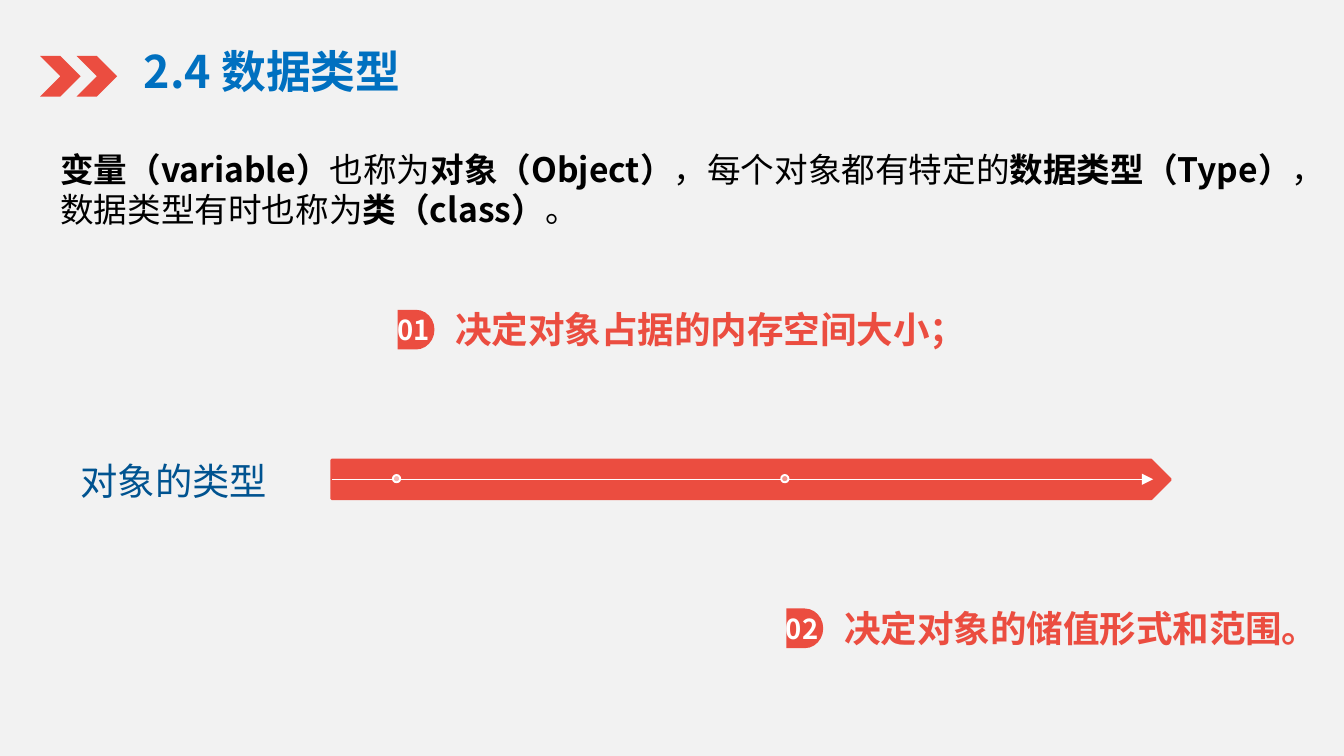
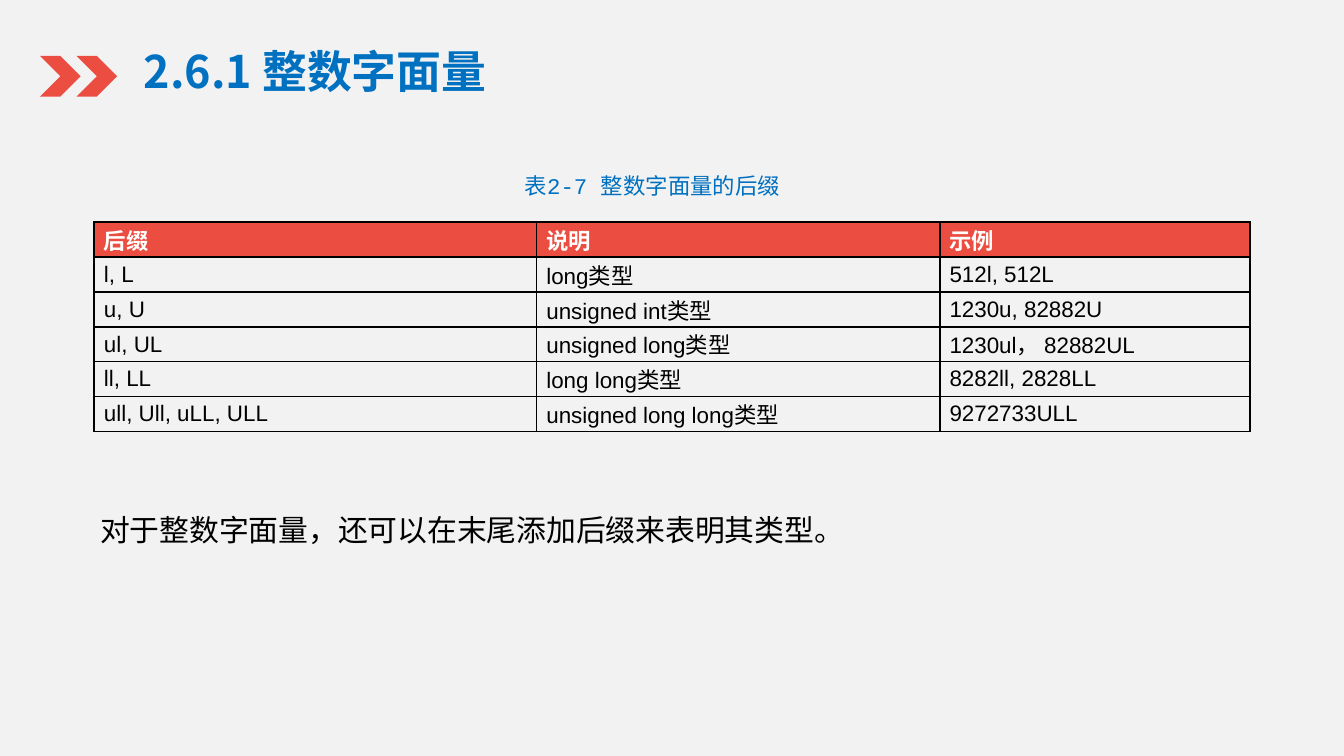
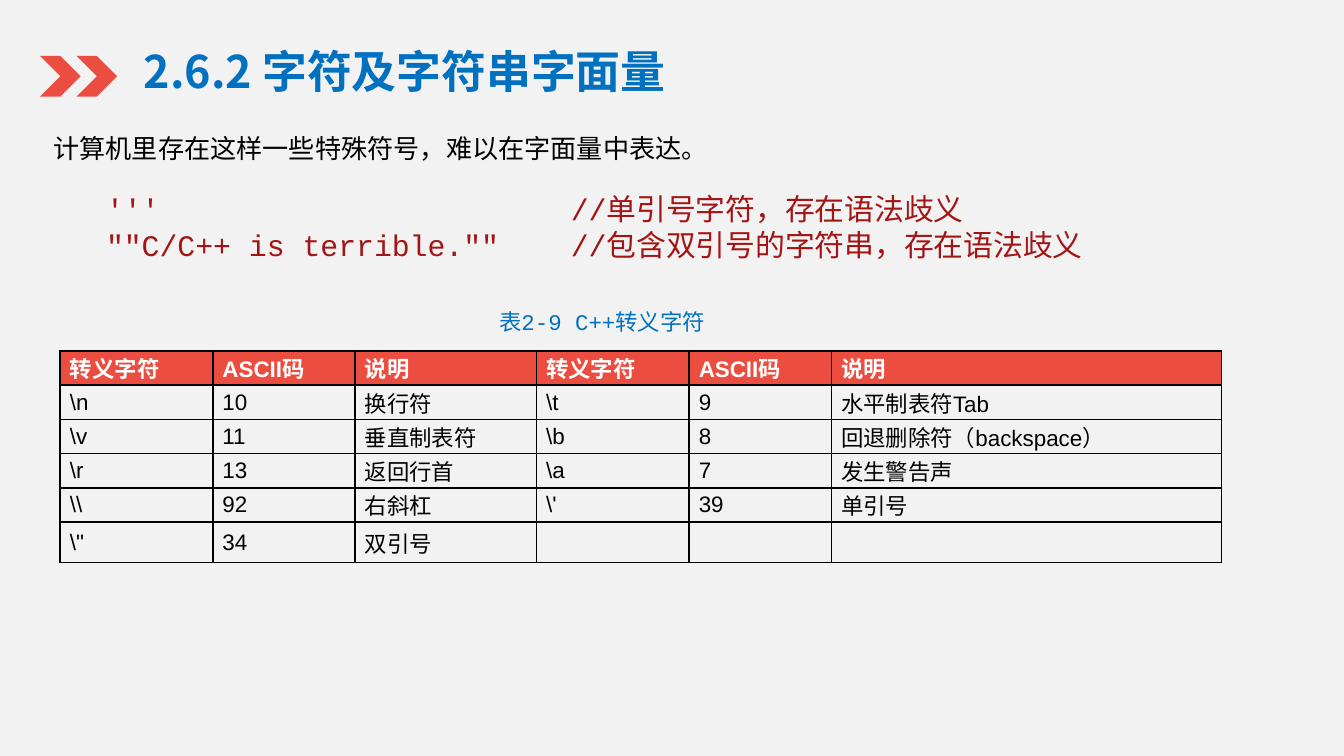
from lxml import etree
from pptx import Presentation
from pptx.dml.color import RGBColor
from pptx.enum.shapes import MSO_CONNECTOR, MSO_SHAPE
from pptx.enum.text import MSO_ANCHOR, MSO_AUTO_SIZE, PP_ALIGN
from pptx.oxml import parse_xml
from pptx.oxml.ns import nsdecls, qn
from pptx.util import Pt

CHEVRON = MSO_SHAPE.CHEVRON
DELAY = MSO_SHAPE.FLOWCHART_DELAY
ARROW_BAR = MSO_SHAPE.PENTAGON
OVAL = MSO_SHAPE.OVAL
STRAIGHT = MSO_CONNECTOR.STRAIGHT
MIDDLE = MSO_ANCHOR.MIDDLE
TOP = MSO_ANCHOR.TOP
GROW = MSO_AUTO_SIZE.SHAPE_TO_FIT_TEXT
FIXED = MSO_AUTO_SIZE.NONE
LEFT = PP_ALIGN.LEFT
CENTER = PP_ALIGN.CENTER

BACKGROUND = "F2F2F2"
RED = "EB4D40"
BLUE = "0070C0"
LABEL_BLUE = "005390"
CODE_RED = "A31515"
WHITE = "FFFFFF"
BLACK = "000000"
SANS = "Noto Sans CJK JP"
HAN = "Noto Sans CJK SC"
ARIAL = "Arial"
MONO = "Courier New"


def color(value):
    return RGBColor.from_string(value)


def add_text(paragraph, text, font=SANS, size=12, fill=BLACK, bold=False):
    run = paragraph.add_run()
    run.text = text
    run.font.name = font
    run.font.size = Pt(size)
    run.font.bold = bold
    run.font.color.rgb = color(fill)
    east_asian = etree.SubElement(run.font._element, qn("a:ea"))
    east_asian.set("typeface", SANS if font == SANS else HAN)


class Deck:
    def __init__(self):
        self.presentation = Presentation()
        self.presentation.slide_width = Pt(720)
        self.presentation.slide_height = Pt(405)
        self.slide = None

    def add_slide(self, title):
        layout = self.presentation.slide_layouts[6]
        self.slide = self.presentation.slides.add_slide(layout)
        background = self.slide.background.fill
        background.solid()
        background.fore_color.rgb = color(BACKGROUND)
        self.text_box(70, 20, 340, 36, [[(title, {})]], size=24, fill=BLUE, bold=True)
        for left in (21.5, 41):
            self.shape(CHEVRON, left, 30, 21.75, 21.75)

    def text_box(self, left, top, width, height, paragraphs, align=LEFT,
                 plain=False, tab=None, **style):
        box = self.slide.shapes.add_textbox(Pt(left), Pt(top), Pt(width), Pt(height))
        frame = box.text_frame
        frame.word_wrap = True
        frame.auto_size = FIXED if plain else GROW
        frame.vertical_anchor = MIDDLE if plain else TOP
        if plain:
            self.clear_margins(frame)
        for index, runs in enumerate(paragraphs):
            paragraph = frame.add_paragraph() if index else frame.paragraphs[0]
            paragraph.alignment = align
            if tab:
                tabs = etree.SubElement(paragraph._p.get_or_add_pPr(), qn("a:tabLst"))
                etree.SubElement(tabs, qn("a:tab"), pos=str(Pt(tab)), algn="l")
            for text, changes in runs:
                add_text(paragraph, text, **{**style, **changes})

    def clear_margins(self, frame):
        frame.margin_left = frame.margin_right = 0
        frame.margin_top = frame.margin_bottom = 0

    def shape(self, kind, left, top, width, height, fill=RED, line=None, weight=1):
        shape = self.slide.shapes.add_shape(kind, Pt(left), Pt(top), Pt(width), Pt(height))
        shape.shadow.inherit = False
        shape.fill.solid()
        shape.fill.fore_color.rgb = color(fill)
        if line:
            shape.line.color.rgb = color(line)
            shape.line.width = Pt(weight)
        else:
            shape.line.fill.background()
        return shape

    def arrow(self, left, right, y):
        connector = self.slide.shapes.add_connector(STRAIGHT, Pt(left), Pt(y), Pt(right), Pt(y))
        connector.line.color.rgb = color(WHITE)
        connector.line.width = Pt(0.5)
        etree.SubElement(connector.line._ln, qn("a:tailEnd"), type="triangle")
        etree.SubElement(connector._element.spPr, qn("a:effectLst"))

    def numbered_point(self, number, text, left, top, width):
        badge = self.shape(DELAY, left, top, 19.75, 21.25)
        frame = badge.text_frame
        frame.word_wrap = False
        frame.vertical_anchor = MIDDLE
        self.clear_margins(frame)
        frame.paragraphs[0].alignment = CENTER
        add_text(frame.paragraphs[0], number, font=HAN, size=14.7, fill=WHITE, bold=True)
        self.text_box(left + 31, top + 2.25, width, 16, [[(text, {})]], plain=True,
                      font=HAN, size=19.6, fill=RED, bold=True)

    def caption(self, left, top, number, text):
        runs = [("表", {}), (number, {"font": MONO}), (text, {})]
        self.text_box(left, top, 400, 21.75, [runs], align=CENTER, font=ARIAL, fill=BLUE)

    def table(self, left, top, widths, row_height, rows):
        graphic = self.slide.shapes.add_table(
            len(rows), len(widths), Pt(left), Pt(top), Pt(sum(widths)),
            Pt(row_height * len(rows)))
        table = graphic.table
        for column, width in zip(table.columns, widths):
            column.width = Pt(width)
        for row_index, values in enumerate(rows):
            table.rows[row_index].height = Pt(row_height)
            for column_index, value in enumerate(values):
                self.cell(table.cell(row_index, column_index), value, row_index == 0)

    def cell(self, cell, value, header):
        cell.vertical_anchor = MIDDLE
        cell.margin_left = cell.margin_right = Pt(5.2)
        cell.margin_top = cell.margin_bottom = 0
        if header:
            cell.fill.solid()
            cell.fill.fore_color.rgb = color(RED)
        else:
            cell.fill.background()
        add_text(cell.text_frame.paragraphs[0], value, font=ARIAL,
                 fill=WHITE if header else BLACK, bold=header)
        properties = cell._tc.get_or_add_tcPr()
        for index, side in enumerate(("lnL", "lnR", "lnT", "lnB")):
            border = parse_xml(
                f'<a:{side} {nsdecls("a")} w="{Pt(1)}"><a:solidFill>'
                f'<a:srgbClr val="{BLACK}"/></a:solidFill></a:{side}>')
            properties.insert(index, border)


def add_data_types(deck):
    deck.add_slide("2.4 数据类型")
    strong = {"bold": True}
    definition = [
        ("变量（variable）", strong), ("也称为", {}),
        ("对象（Object）", strong), ("，每个对象都有特定的", {}),
        ("数据类型（Type）", strong), ("，数据类型有时也称为", {}),
        ("类（class）", strong), ("。", {}),
    ]
    deck.text_box(25.25, 76.25, 694.75, 51, [definition], size=18)
    deck.shape(ARROW_BAR, 177.75, 246.5, 449.25, 20.75, line=RED, weight=1.5)
    deck.arrow(177.75, 617.75, 256.75)
    for left, fill in ((210.5, "F7B8B3"), (418.5, "F3948C")):
        deck.shape(OVAL, left, 254.5, 3.9, 3.9, fill=fill, line=WHITE)
    deck.numbered_point("01", "决定对象占据的内存空间大小；", 213, 166, 281.5)
    deck.numbered_point("02", "决定对象的储值形式和范围。", 421.25, 326, 247)
    deck.text_box(36, 242, 124.5, 31.5, [[("对象的类型", {})]], size=20, fill=LABEL_BLUE)


def add_integer_literals(deck):
    deck.add_slide("2.6.1 整数字面量")
    deck.table(50.5, 119, (237, 216, 166), 18.7, [
        ("后缀", "说明", "示例"),
        ("l, L", "long类型", "512l, 512L"),
        ("u, U", "unsigned int类型", "1230u, 82882U"),
        ("ul, UL", "unsigned long类型", "1230ul， 82882UL"),
        ("ll, LL", "long long类型", "8282ll, 2828LL"),
        ("ull, Ull, uLL, ULL", "unsigned long long类型", "9272733ULL"),
    ])
    deck.caption(149.5, 88.5, "2-7 ", "整数字面量的后缀")
    note = "对于整数字面量，还可以在末尾添加后缀来表明其类型。"
    deck.text_box(46.5, 270.75, 580, 26.5, [[(note, {})]], font=ARIAL, size=16)


def add_character_literals(deck):
    deck.add_slide("2.6.2 字符及字符串字面量")
    code = [
        [("'''\t//单引号字符，存在语法歧义", {})],
        [('""C/C++ is terrible.""\t//包含双引号的字符串，存在语法歧义', {})],
    ]
    deck.text_box(49.75, 98.75, 620.5, 46, code, tab=249, font=MONO, size=16, fill=CODE_RED)
    note = "计算机里存在这样一些特殊符号，难以在字面量中表达。"
    deck.text_box(21.5, 67.5, 400, 24.25, [[(note, {})]], size=14)
    deck.table(32.25, 188, (81.75, 76.25, 97.25, 81.75, 76.25, 209), 18.35, [
        ("转义字符", "ASCII码", "说明") * 2,
        ("\\n", "10", "换行符", "\\t", "9", "水平制表符Tab"),
        ("\\v", "11", "垂直制表符", "\\b", "8", "回退删除符（backspace）"),
        ("\\r", "13", "返回行首", "\\a", "7", "发生警告声"),
        ("\\\\", "92", "右斜杠", "\\'", "39", "单引号"),
        ('\\"', "34", "双引号", "", "", ""),
    ])
    deck.caption(122.5, 161.25, "2-9 C++", "转义字符")


def main():
    deck = Deck()
    add_data_types(deck)
    add_integer_literals(deck)
    add_character_literals(deck)
    deck.presentation.save("out.pptx")


if __name__ == "__main__":
    main()
